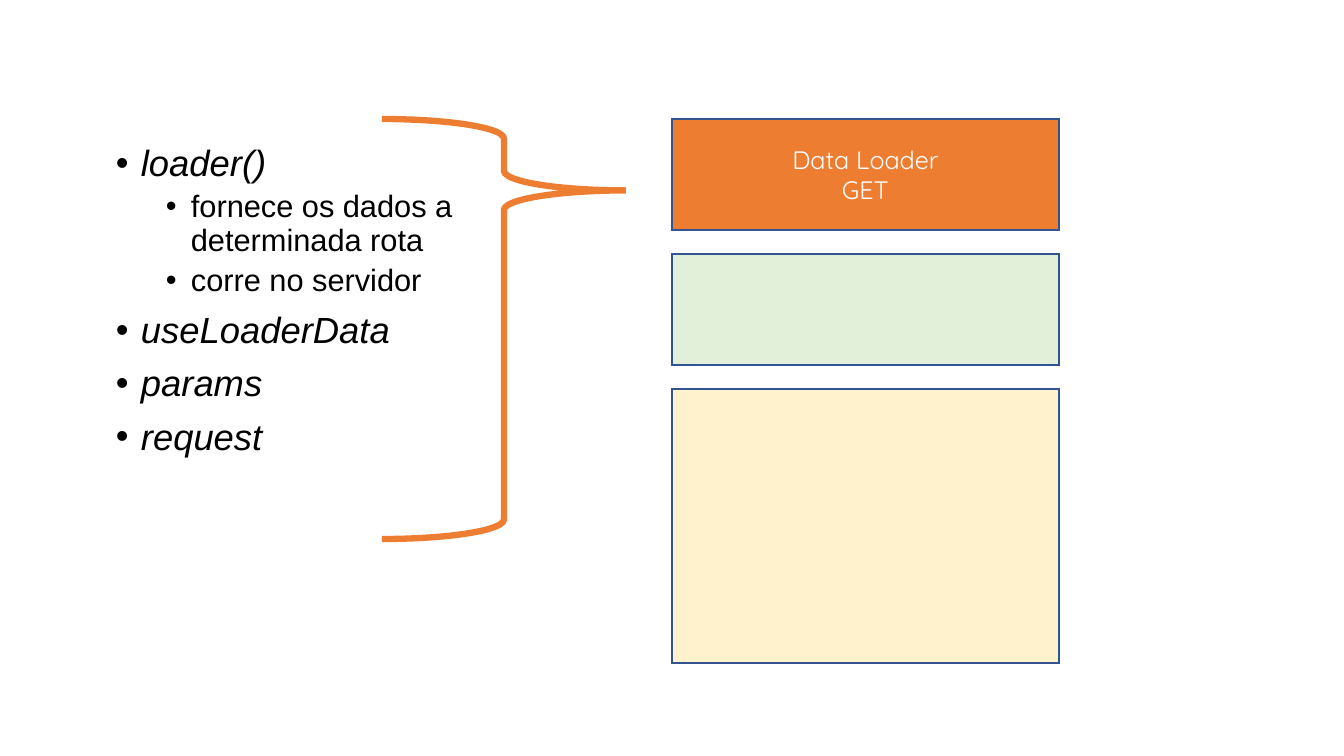
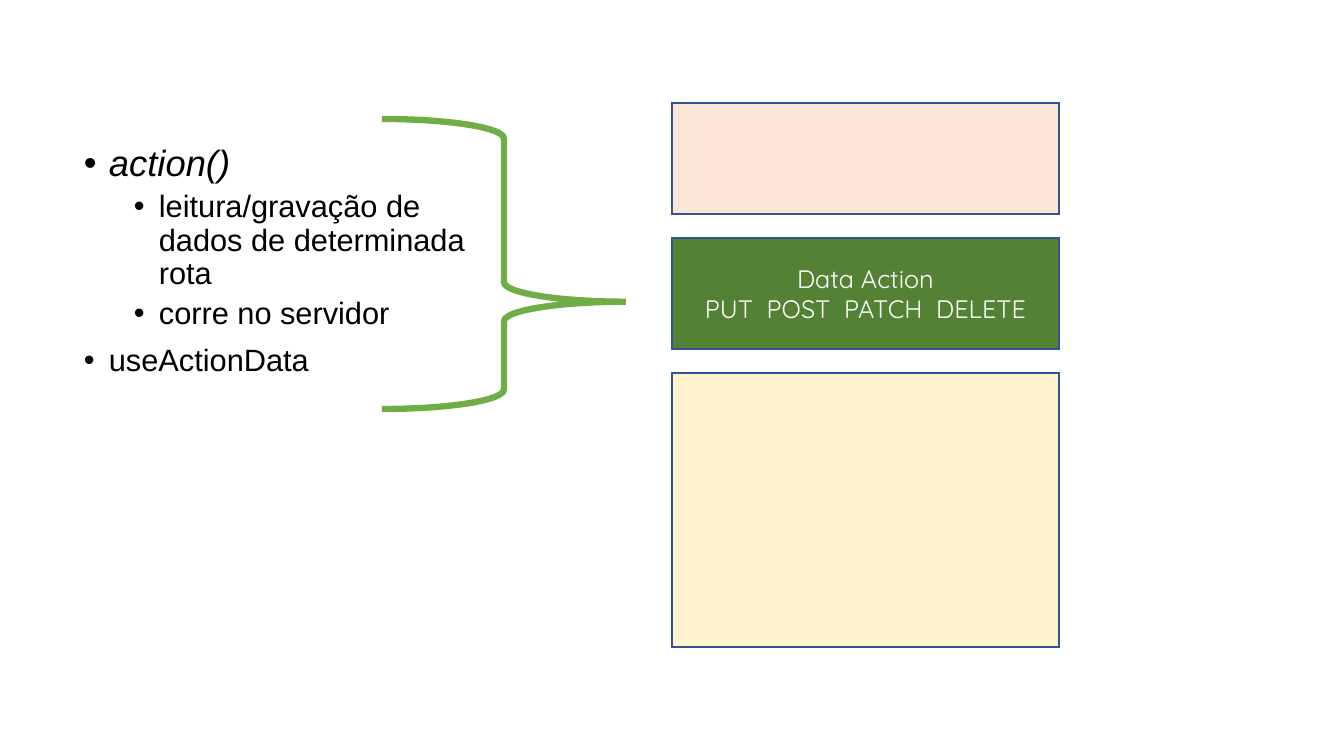
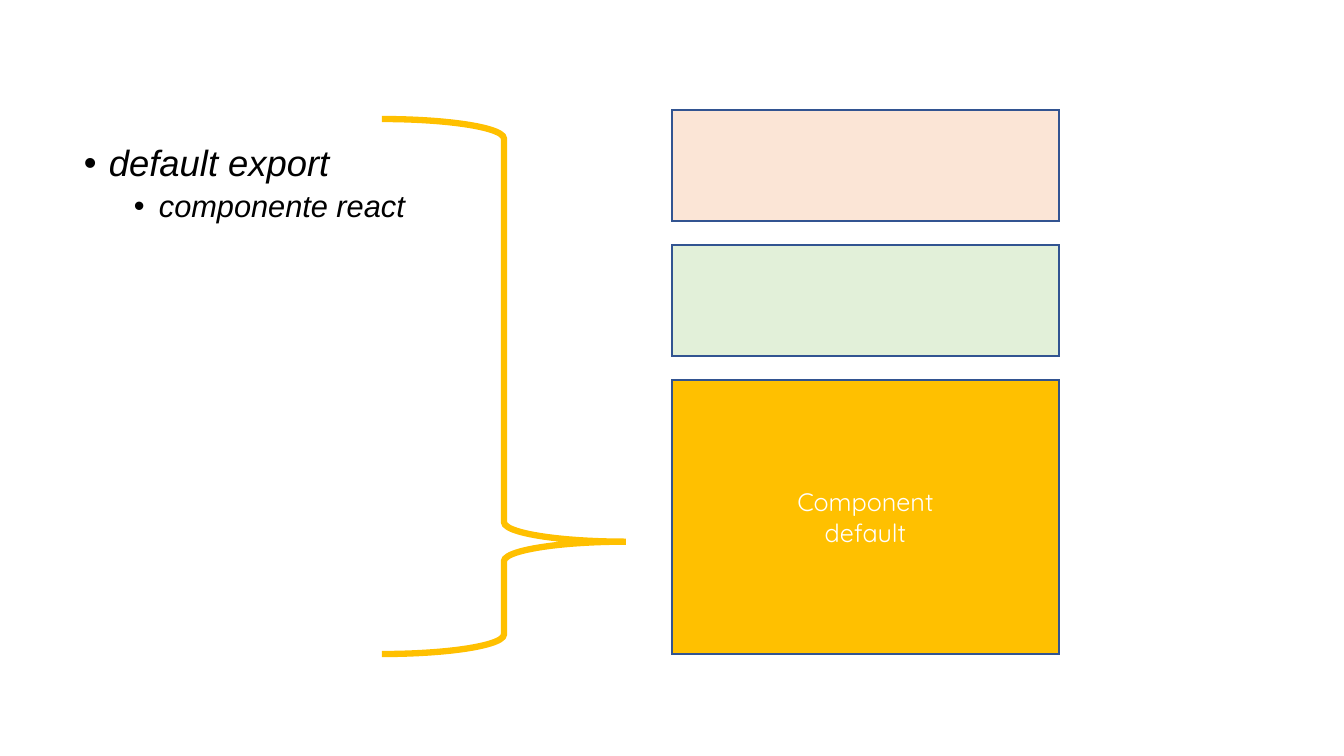
from collections import namedtuple
from dataclasses import dataclass

from lxml.etree import SubElement
from pptx import Presentation
from pptx.dml.color import RGBColor as Color
from pptx.enum.shapes import MSO_SHAPE as Preset
from pptx.enum.text import MSO_ANCHOR as Anchor, PP_ALIGN as Align
from pptx.oxml.ns import qn
from pptx.util import Pt

EMU_PER_PX = 914400 / 100.8

Box = namedtuple("Box", "left top width height")
Bullet = namedtuple("Bullet", "text level size italic")
Card = namedtuple("Card", "fill lines", defaults=((),))


@dataclass(frozen=True)
class Theme:
    """Colours, fonts and type sizes shared by the slides."""
    loader: str = "ED7D31"
    loader_pale: str = "FBE5D6"
    action: str = "548235"
    action_brace: str = "70AD47"
    action_pale: str = "E2F0D9"
    component: str = "FFC000"
    component_pale: str = "FFF2CC"
    outline: str = "325491"
    card_text: str = "FFFFFF"
    body_text: str = "000000"
    card_font: str = "Quicksand"
    body_font: str = "Arial"
    card_size: int = 18
    large: int = 26
    small: int = 22
    outline_width: int = 1
    brace_width: float = 4.5


THEME = Theme()
CARD_HEIGHTS = (111, 111, 274)
CARD_GAP = 24


def px(length):
    """Turn px into EMU."""
    return round(length * EMU_PER_PX)


def apply_format(target, values):
    """Set each attribute of the target from a dict."""
    for name, value in values.items():
        setattr(target, name, value)


def format_font(font, name, size, color, italic=False):
    """Set typeface, size, colour and slant of a font."""
    apply_format(font, {"name": name, "size": Pt(size), "italic": italic})
    font.color.rgb = Color.from_string(color)


def add_preset(slide, preset, box, line_color, line_width, fill=None):
    """Add a flat shape with a mitred outline, filled when a colour is given."""
    shape = slide.shapes.add_shape(preset, *map(px, box))
    shape.shadow.inherit = False
    shape.line.color.rgb = Color.from_string(line_color)
    shape.line.width = Pt(line_width)
    outline = shape._element.spPr.find(qn("a:ln"))
    SubElement(outline, qn("a:miter")).set("lim", "800000")
    if fill:
        shape.fill.solid()
        shape.fill.fore_color.rgb = Color.from_string(fill)
    else:
        shape.fill.background()
    return shape


def add_card(slide, box, card):
    """Add one rectangle with its centred lines of text, if any."""
    shape = add_preset(slide, Preset.RECTANGLE, box, THEME.outline,
                       THEME.outline_width, card.fill)
    frame = shape.text_frame
    apply_format(frame, {"word_wrap": True, "vertical_anchor": Anchor.MIDDLE})
    for index, line in enumerate(card.lines):
        paragraph = frame.add_paragraph() if index else frame.paragraphs[0]
        paragraph.alignment = Align.CENTER
        run = paragraph.add_run()
        run.text = line
        format_font(run.font, THEME.card_font, THEME.card_size, THEME.card_text)


def add_card_stack(slide, left, top, width, cards):
    """Stack the cards downwards with equal gaps."""
    for card, height in zip(cards, CARD_HEIGHTS):
        add_card(slide, Box(left, top, width, height), card)
        top += height + CARD_GAP


def add_bullet_list(slide, box, bullets):
    """Add a text box with a two-level bulleted list."""
    frame = slide.shapes.add_textbox(*map(px, box)).text_frame
    frame.word_wrap = True
    for index, bullet in enumerate(bullets):
        paragraph = frame.add_paragraph() if index else frame.paragraphs[0]
        space = (5 if bullet.level else 10) if index else 0
        apply_format(paragraph, {"level": bullet.level, "line_spacing": 0.9,
                                 "space_before": Pt(space)})
        properties = paragraph._p.get_or_add_pPr()
        properties.set("marL", str(px(25 + 50 * bullet.level)))
        properties.set("indent", str(px(-25)))
        SubElement(properties, qn("a:buFont")).set("typeface", THEME.body_font)
        SubElement(properties, qn("a:buChar")).set("char", "•")
        run = paragraph.add_run()
        run.text = bullet.text
        format_font(run.font, THEME.body_font, bullet.size, THEME.body_text,
                    bullet.italic)


def add_brace(slide, box, color, point):
    """Add a right brace whose tip sits at a share of its height."""
    brace = add_preset(slide, Preset.RIGHT_BRACE, box, color, THEME.brace_width)
    brace.adjustments[0] = 0.08
    brace.adjustments[1] = point


def add_route_slide(presentation, stack_top, cards, list_box, bullets,
                    brace_height, brace_color, brace_point):
    """Add a slide that links a list to one part of a route module."""
    slide = presentation.slides.add_slide(presentation.slide_layouts[6])
    add_card_stack(slide, 672, stack_top, 387, cards)
    add_bullet_list(slide, list_box, bullets)
    add_brace(slide, Box(382, 119, 244, brace_height), brace_color, brace_point)


def main():
    """Build and save the presentation."""
    presentation = Presentation()
    apply_format(presentation, {"slide_width": px(1344), "slide_height": px(756)})

    loader = Card(THEME.loader_pale)
    action = Card(THEME.action_pale)
    component = Card(THEME.component_pale)
    server = Bullet("corre no servidor", 1, THEME.small, False)
    wide_list = Box(74, 140, 419, 450)

    add_route_slide(
        presentation, 119,
        [Card(THEME.loader, ("Data Loader", "GET")), action, component],
        Box(106, 140, 358, 450),
        [Bullet("loader()", 0, THEME.large, True),
         Bullet("fornece os dados a determinada rota", 1, THEME.small, False),
         server,
         *(Bullet(name, 0, THEME.large, True)
           for name in ("useLoaderData", "params", "request"))],
        420, THEME.loader, 0.17)
    add_route_slide(
        presentation, 103,
        [loader,
         Card(THEME.action, ("Data Action", "PUT  POST  PATCH  DELETE")),
         component],
        wide_list,
        [Bullet("action()", 0, THEME.large, True),
         Bullet("leitura/gravação de dados de determinada rota", 1,
                THEME.small, False),
         server,
         Bullet("useActionData", 0, THEME.small, False)],
        290, THEME.action_brace, 0.63)
    add_route_slide(
        presentation, 110,
        [loader, action, Card(THEME.component, ("Component", "default"))],
        wide_list,
        [Bullet("default export", 0, THEME.large, True),
         Bullet("componente react", 1, THEME.small, True)],
        535, THEME.component, 0.79)

    presentation.save("out.pptx")


if __name__ == "__main__":
    main()
